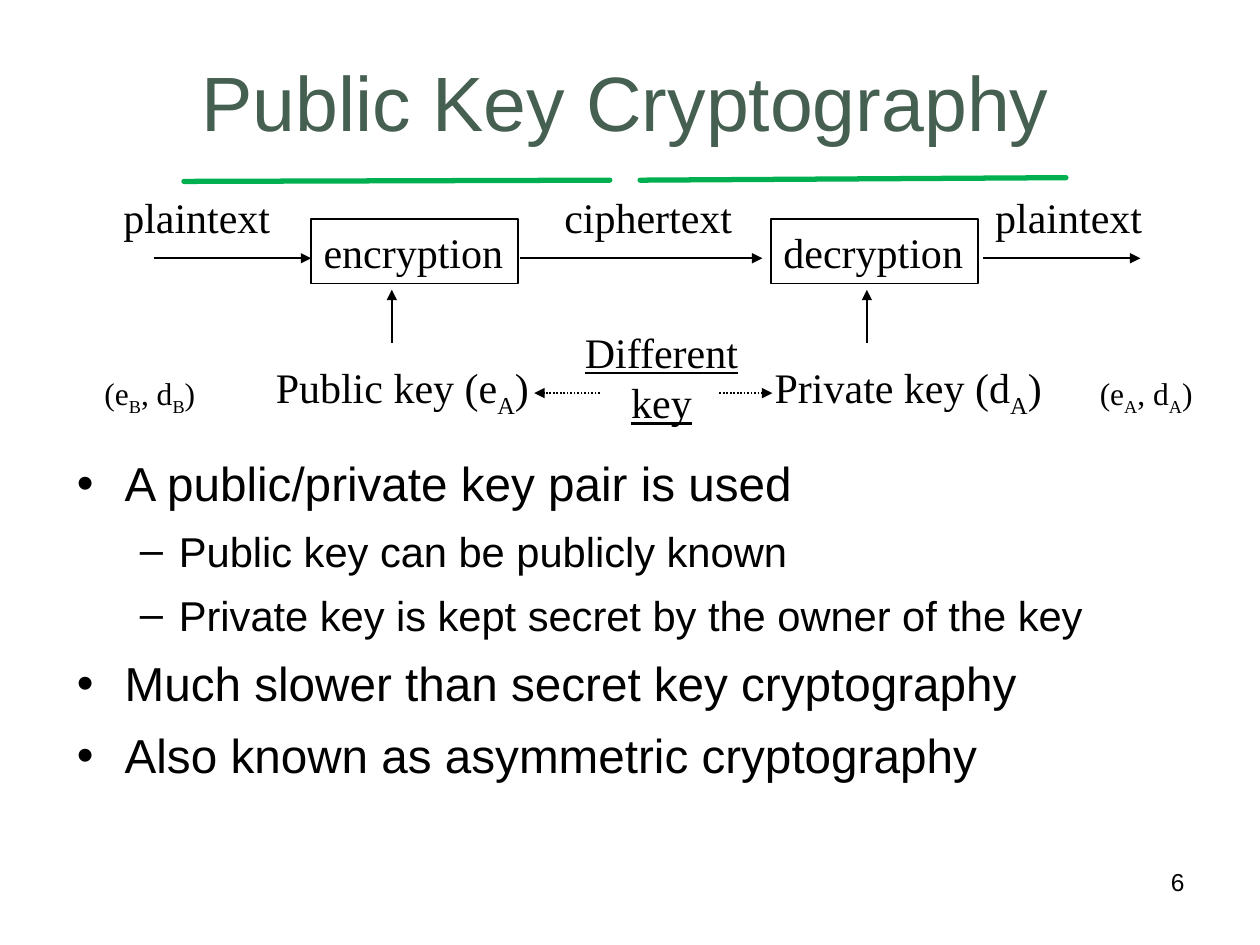
from lxml import etree
from pptx import Presentation
from pptx.dml.color import RGBColor
from pptx.enum.dml import MSO_LINE_DASH_STYLE as DASH
from pptx.enum.shapes import MSO_CONNECTOR as CONN, MSO_SHAPE as SHAPE
from pptx.enum.text import MSO_ANCHOR as ANCHOR, MSO_AUTO_SIZE as AUTO, PP_ALIGN as ALIGN
from pptx.oxml.ns import qn
from pptx.util import Inches, Pt

BLACK = RGBColor(0x00, 0x00, 0x00)
GREEN = RGBColor(0x00, 0xB0, 0x50)
SLATE = RGBColor(0x45, 0x5F, 0x51)
SANS = "Arial"
SERIF = "Times New Roman"


def place(sp, box):
    sp.left, sp.top, sp.width, sp.height = (Inches(v) for v in box)


def set_font(p, name, size, color=BLACK):
    p.font.name = name
    p.font.size = Pt(size)
    p.font.color.rgb = color


def add_line(shapes, start, end, color=BLACK, width=1, arrow=False, dash=None):
    line = shapes.add_connector(CONN.STRAIGHT, *(Inches(v) for v in (*start, *end)))
    line.line.color.rgb = color
    line.line.width = Pt(width)
    if dash:
        line.line.dash_style = dash
    ln = line.line._get_or_add_ln()
    if arrow:
        etree.SubElement(ln, qn("a:tailEnd"), type="triangle")
    else:
        ln.set("cap", "rnd")
    etree.SubElement(line._element.spPr, qn("a:effectLst"))


def write_label(sp, text, size=24):
    tf = sp.text_frame
    tf.word_wrap = False
    tf.auto_size = AUTO.SHAPE_TO_FIT_TEXT
    p = tf.paragraphs[0]
    p.alignment = ALIGN.LEFT
    set_font(p, SERIF, size)
    for i, part in enumerate(text.split("|")):
        r = p.add_run()
        r.text = part
        if i % 2:
            r._r.get_or_add_rPr().set("baseline", "-25000")
    return tf


def add_title(slide, box, text):
    left, top, width, height = box
    sp = slide.shapes.title
    place(sp, box)
    tf = sp.text_frame
    tf.text = text
    tf.vertical_anchor = ANCHOR.MIDDLE
    p = tf.paragraphs[0]
    p.alignment = ALIGN.CENTER
    set_font(p, SANS, 44, SLATE)
    bottom = top + height
    for x, y1, y2 in ((0.47, 0.05, 0.04), (4.09, 0.04, 0.02)):
        add_line(slide.shapes, (left + x, bottom + y1),
                 (left + x + 3.38, bottom + y2), GREEN, 3)


def add_diagram(slide, box):
    left, top, width, height = box
    shapes = slide.shapes.add_group_shape().shapes

    def at(x, y):
        return left + x, top + y

    def add_label(x, y, w, h, text, size=24):
        sp = shapes.add_textbox(*(Inches(v) for v in (*at(x, y), w, h)))
        return write_label(sp, text, size)

    for x, w, text in ((0.15, 1.45, "plaintext"), (3.65, 1.55, "ciphertext"),
                       (7.07, 1.45, "plaintext")):
        add_label(x, 0, w, 0.5, text)

    for x, text in ((1.74, "encryption"), (5.39, "decryption")):
        sp = shapes.add_shape(SHAPE.RECTANGLE,
                              *(Inches(v) for v in (*at(x, 0.27), 1.64, 0.51)))
        sp.shadow.inherit = False
        sp.fill.background()
        sp.line.color.rgb = BLACK
        sp.line.width = Pt(1)
        write_label(sp, text)

    for x1, x2 in ((0.49, 1.74), (3.4, 5.32), (7.07, 8.32)):
        add_line(shapes, at(x1, 0.58), at(x2, 0.58), arrow=True)
    for x in (2.38, 6.15):
        add_line(shapes, at(x, 1.25), at(x, 0.83), arrow=True)

    add_label(1.36, 1.35, 2.31, 0.5, "Public key (e|A|)")
    add_label(5.32, 1.35, 2.44, 0.5, "Private key (d|A|)")
    tf = add_label(3.78, 1.07, 1.48, 0.91, "Different key")
    tf.word_wrap = True
    p = tf.paragraphs[0]
    p.alignment = ALIGN.CENTER
    p.runs[0].font.underline = True

    for x1, x2 in ((4.03, 3.51), (4.98, 5.4)):
        add_line(shapes, at(x1, 1.65), at(x2, 1.65), arrow=True, dash=DASH.ROUND_DOT)
    for x, owner in ((0, "B"), (7.9, "A")):
        add_label(x, 1.45, 0.98, 0.4, f"(e|{owner}|, d|{owner}|)", 18)


def add_bullets(slide, box, items):
    sp = slide.placeholders[1]
    place(sp, box)
    tf = sp.text_frame
    tf.auto_size = AUTO.NONE
    for i, (level, text) in enumerate(items):
        p = tf.add_paragraph() if i else tf.paragraphs[0]
        p.text = text
        p.level = level
        margin, indent, size = ((0.38, -0.38, 27.2), (0.81, -0.31, 23.8))[level]
        pPr = p._p.get_or_add_pPr()
        pPr.set("marL", str(Inches(margin)))
        pPr.set("indent", str(Inches(indent)))
        p.line_spacing = 1.1
        p.space_before = Pt(5.2 if i else 0)
        set_font(p, SANS, size)


def add_page_number(slide, box, number):
    sp = slide.shapes.add_textbox(*(Inches(v) for v in box))
    tf = sp.text_frame
    tf.word_wrap = True
    p = tf.paragraphs[0]
    p.text = str(number)
    p.alignment = ALIGN.RIGHT
    set_font(p, SANS, 14)


def main():
    prs = Presentation()
    prs.slide_width, prs.slide_height = Inches(10), Inches(7.5)
    slide = prs.slides.add_slide(prs.slide_layouts[1])
    add_title(slide, (0.99, 0.21, 7.95, 1.18), "Public Key Cryptography")
    add_bullets(slide, (0.51, 3.51, 9, 2.83), (
        (0, "A public/private key pair is used"),
        (1, "Public key can be publicly known"),
        (1, "Private key is kept secret by the owner of the key"),
        (0, "Much slower than secret key cryptography"),
        (0, "Also known as asymmetric cryptography"),
    ))
    add_page_number(slide, (8.94, 6.83, 0.56, 0.52), 6)
    add_diagram(slide, (0.73, 1.47, 8.88, 1.98))
    prs.save("out.pptx")


if __name__ == "__main__":
    main()
